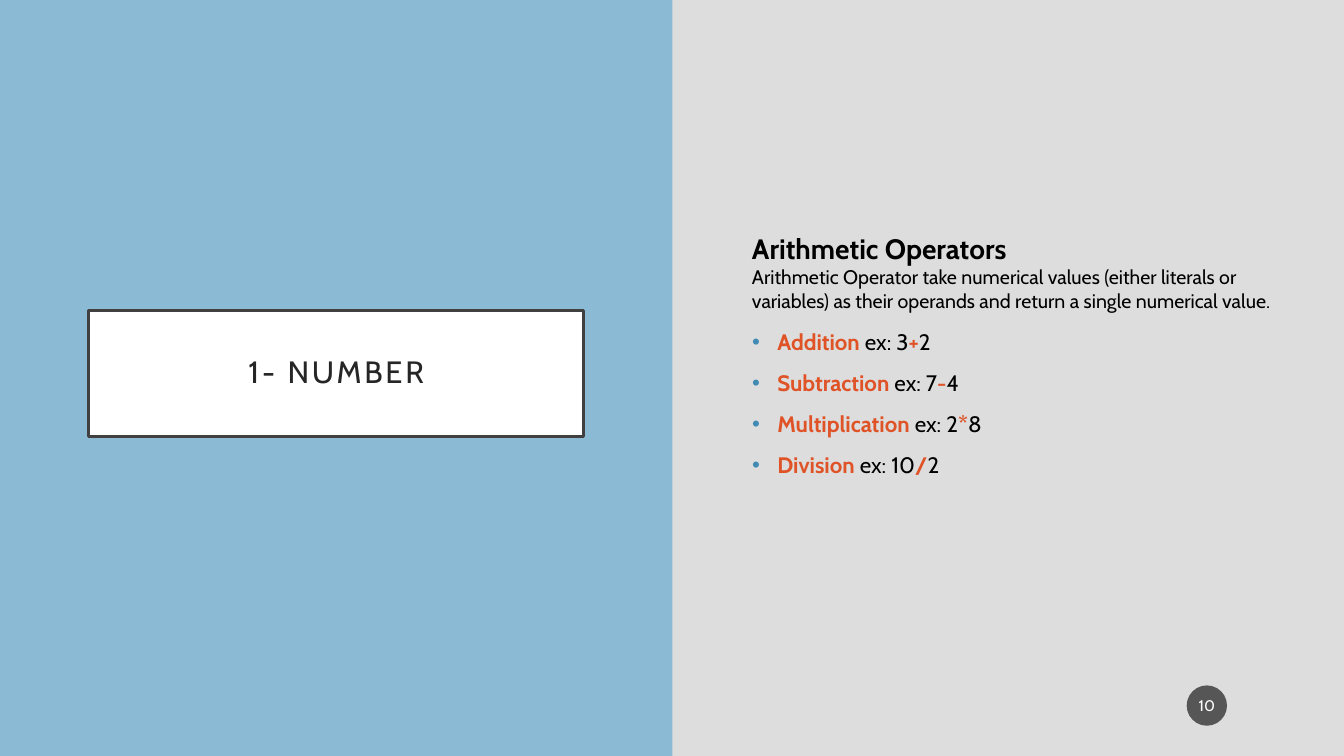
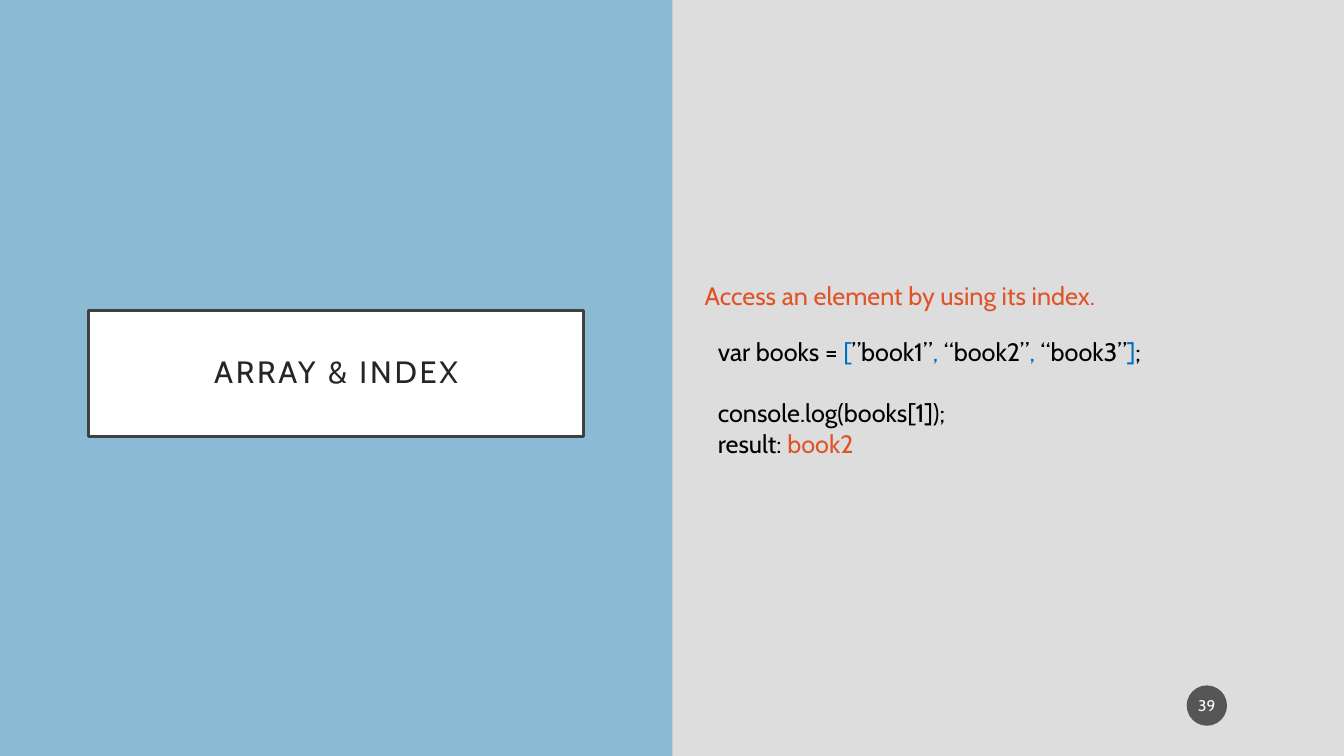
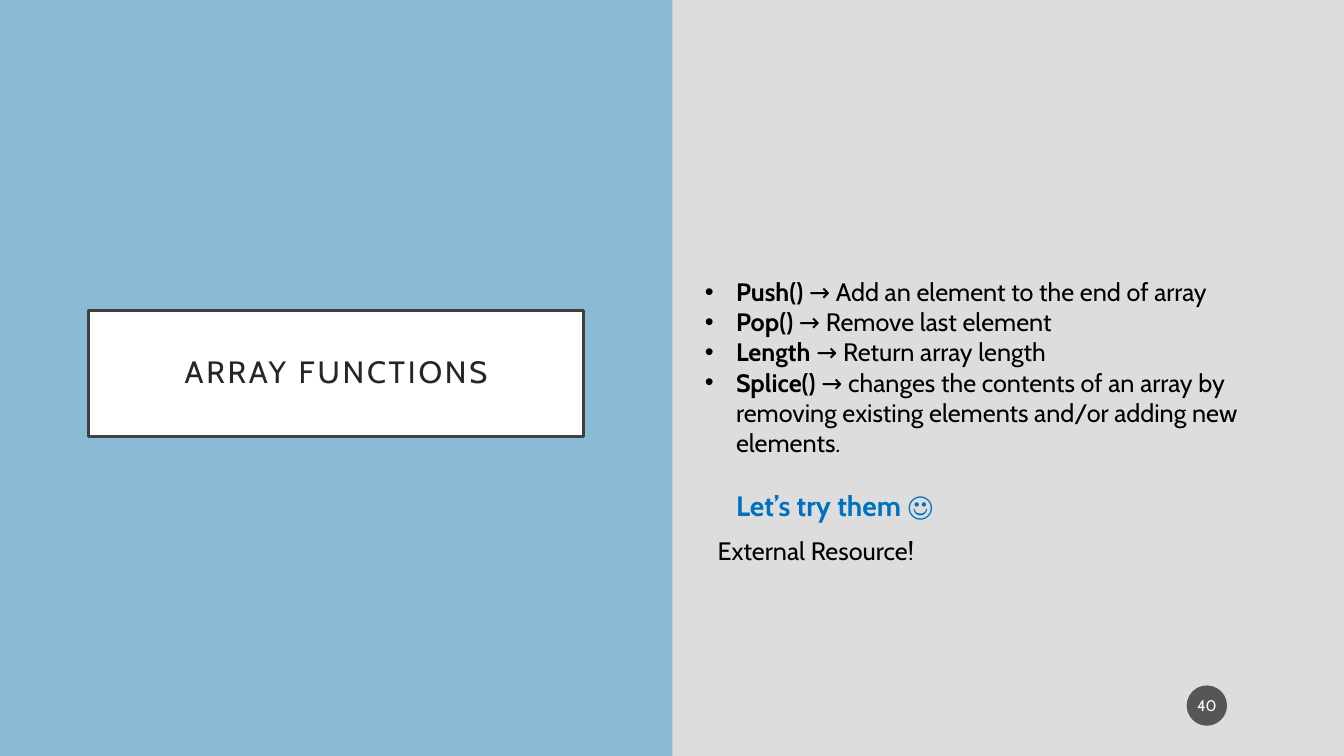
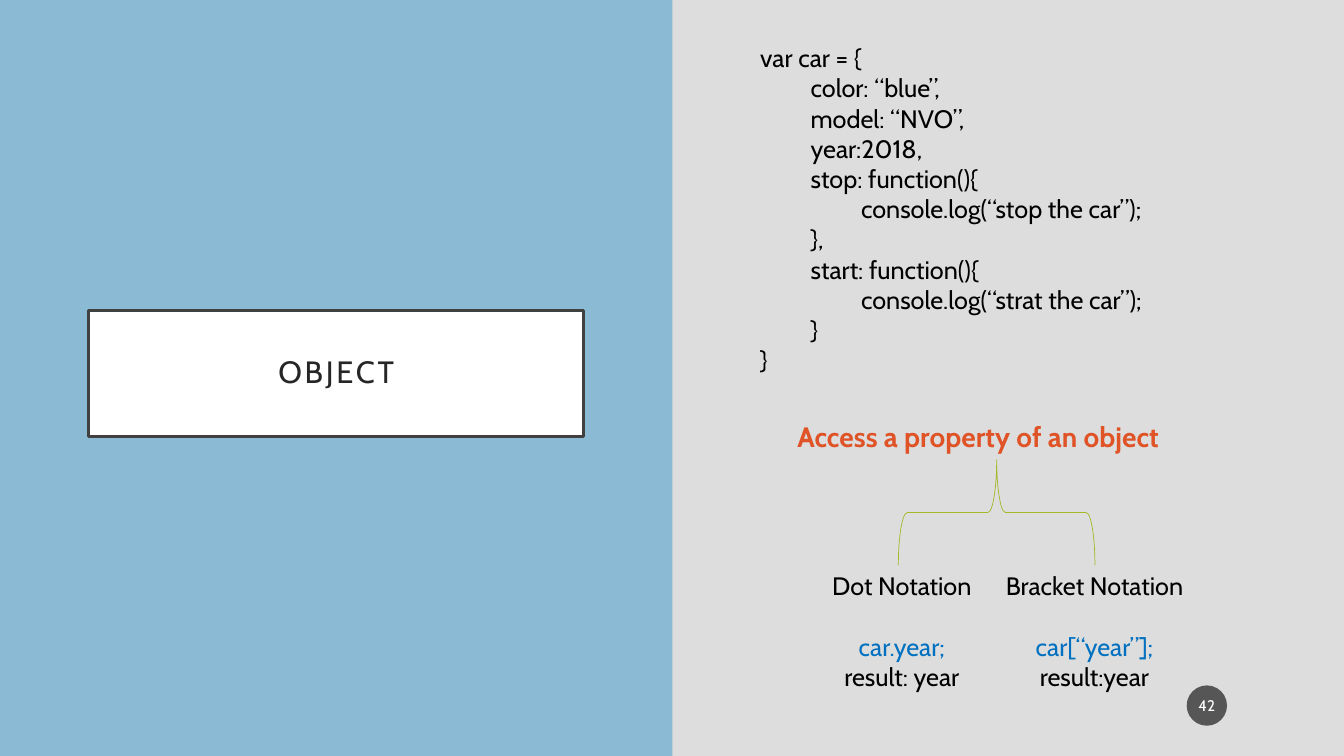
from dataclasses import dataclass

from lxml import etree
from pptx import Presentation
from pptx.dml.color import RGBColor
from pptx.enum import shapes, text
from pptx.oxml import ns
from pptx.util import Emu, Pt

EMU_PER_PX = 9144
FONT = "Cabin"
COLORS = {
    "background": "DDDDDD",
    "band": "8ABAD4",
    "white": "FFFFFF",
    "frame": "404040",
    "title": "262626",
    "badge": "1D1D1D",
    "black": "000000",
    "orange": "DF5327",
    "blue": "0070C0",
    "bullet": "418AB3",
    "brace": "A6B727",
}
LEFT = text.PP_ALIGN.LEFT
CENTER = text.PP_ALIGN.CENTER


@dataclass(frozen=True)
class Box:
    left: int
    top: int
    width: int
    height: int

    def emu(self) -> list[Emu]:
        return [px(self.left), px(self.top), px(self.width), px(self.height)]


@dataclass(frozen=True)
class Run:
    text: str
    color: str = "black"
    bold: bool = False
    size: int = 18


@dataclass(frozen=True)
class Line:
    runs: tuple[Run, ...]
    indent: int = 0
    bullet: str = ""
    before: int = 0
    align: text.PP_ALIGN = LEFT


@dataclass(frozen=True)
class Block:
    box: Box
    lines: tuple[Line, ...]


@dataclass(frozen=True)
class Page:
    number: int
    title: str
    body: Block
    extras: tuple[Block, ...]


SLIDE = Box(0, 0, 1333, 750)
BAND = Box(0, 0, 667, 750)
TITLE = Box(88, 308, 491, 125)
BADGE = Box(1177, 680, 40, 40)
BRACE = Box(936, 411, 105, 195)
BLANK_LINE = 22
TAB = 50


def px(value: int) -> Emu:
    return Emu(value * EMU_PER_PX)


def rgb(name: str) -> RGBColor:
    return RGBColor.from_string(COLORS[name])


def place(shape, box: Box) -> None:
    shape.left, shape.top, shape.width, shape.height = box.emu()


def paint(shape, color: str) -> None:
    shape.fill.solid()
    shape.fill.fore_color.rgb = rgb(color)


def add_run(paragraph, run: Run):
    piece = paragraph.add_run()
    piece.text = run.text
    piece.font.name = FONT
    piece.font.size = Pt(run.size)
    piece.font.bold = run.bold
    piece.font.color.rgb = rgb(run.color)
    return piece


def set_bullet(paragraph, line: Line) -> None:
    properties = paragraph._p.get_or_add_pPr()
    properties.set("marL", str(px(line.indent)))
    properties.set("indent", str(px(-line.indent if line.bullet else 0)))
    if not line.bullet:
        etree.SubElement(properties, ns.qn("a:buNone"))
        return
    color = etree.SubElement(properties, ns.qn("a:buClr"))
    etree.SubElement(color, ns.qn("a:srgbClr"), val=COLORS[line.bullet])
    etree.SubElement(properties, ns.qn("a:buFont"), typeface="Arial")
    etree.SubElement(properties, ns.qn("a:buChar"), char="•")


def fill_block(shape, block: Block) -> None:
    place(shape, block.box)
    frame = shape.text_frame
    frame.word_wrap = True
    frame.auto_size = text.MSO_AUTO_SIZE.NONE
    for index, line in enumerate(block.lines):
        paragraph = frame.add_paragraph() if index else frame.paragraphs[0]
        paragraph.alignment = line.align
        paragraph.space_before = Pt(line.before)
        set_bullet(paragraph, line)
        for run in line.runs:
            add_run(paragraph, run)


def add_shape(slide, kind: shapes.MSO_SHAPE, box: Box):
    shape = slide.shapes.add_shape(kind, *box.emu())
    shape.shadow.inherit = False
    return shape


def style_layout(layout, slide) -> None:
    background = layout.background.fill
    background.solid()
    background.fore_color.rgb = rgb("background")
    band = add_shape(slide, shapes.MSO_SHAPE.RECTANGLE, BAND)
    paint(band, "band")
    band.line.fill.background()
    layout.shapes.element.insert(2, band.element)


def set_title(slide, title: str) -> None:
    shape = slide.shapes.title
    place(shape, TITLE)
    paint(shape, "white")
    shape.line.color.rgb = rgb("frame")
    shape.line.width = Pt(2.5)
    frame = shape.text_frame
    frame.word_wrap = True
    frame.auto_size = text.MSO_AUTO_SIZE.NONE
    frame.vertical_anchor = text.MSO_ANCHOR.MIDDLE
    frame.margin_left = frame.margin_right = px(20)
    frame.margin_top = frame.margin_bottom = px(20)
    paragraph = frame.paragraphs[0]
    paragraph.alignment = CENTER
    paragraph.line_spacing = 0.9
    run = add_run(paragraph, Run(title, "title", size=22))
    run._r.get_or_add_rPr().set("spc", "200")


def add_badge(slide, number: int) -> None:
    badge = add_shape(slide, shapes.MSO_SHAPE.OVAL, BADGE)
    paint(badge, "badge")
    badge.line.fill.background()
    color = badge.element.find(".//" + ns.qn("a:solidFill")).find(ns.qn("a:srgbClr"))
    etree.SubElement(color, ns.qn("a:alpha"), val="70000")
    frame = badge.text_frame
    frame.margin_left = frame.margin_right = px(2)
    frame.vertical_anchor = text.MSO_ANCHOR.MIDDLE
    frame.paragraphs[0].alignment = CENTER
    add_run(frame.paragraphs[0], Run(str(number), "white", size=11))


def add_brace(slide) -> None:
    brace = add_shape(slide, shapes.MSO_SHAPE.LEFT_BRACE, BRACE)
    brace.rotation = 90
    brace.fill.background()
    brace.line.color.rgb = rgb("brace")
    brace.line.width = Pt(0.5)


def operator_line(name: str, left: str, sign: str, right: str) -> Line:
    runs = (
        Run(name, "orange", True, 16),
        Run(f" ex: {left}", size=16),
        Run(sign, "orange", True, 16),
        Run(right, size=16),
    )
    return Line(runs, 25, "bullet", 10)


def function_line(name: str, effect: str) -> Line:
    return Line((Run(f"{name} ", bold=True), Run(f"→ {effect}")), 31, "black")


def code_line(depth: int, code: str) -> Line:
    return Line((Run(code),), depth * TAB)


def notation_block(left: int, name: str, code: str, result: str) -> Block:
    return Block(Box(left, 561, 223, 131), (
        Line((Run(name),), align=CENTER),
        Line((Run(code, "blue"),), before=BLANK_LINE, align=CENTER),
        Line((Run(result),), align=CENTER),
    ))


NUMBER = Page(
    10,
    "1- NUMBER",
    Block(Box(736, 321, 597, 164), (
        operator_line("Addition", "3", "+", "2"),
        operator_line("Subtraction", "7", "-", "4"),
        operator_line("Multiplication", "2", "*", "8"),
        operator_line("Division", "10", "/", "2"),
    )),
    (Block(Box(736, 225, 535, 91), (
        Line((Run("Arithmetic Operators", bold=True, size=20),)),
        Line((Run("Arithmetic Operator take numerical values (either literals or "
                  "variables) as their operands and return a single numerical value.",
                  size=14),)),
    )),),
)

INDEX = Page(
    39,
    "ARRAY & INDEX",
    Block(Box(702, 329, 447, 131), (
        Line((
            Run("var books = "),
            Run("[", "blue"),
            Run("”book1”"),
            Run(",", "blue"),
            Run(" “book2”"),
            Run(", ", "blue"),
            Run("“book3”"),
            Run("]", "blue"),
            Run(";"),
        )),
        Line((Run("console.log(books[1]);"),), before=BLANK_LINE),
        Line((Run("result: "), Run("book2", "orange"))),
    )),
    (Block(Box(689, 273, 610, 40), (
        Line((Run("Access an element by using its index.", "orange"),)),
    )),),
)

FUNCTIONS = Page(
    40,
    "ARRAY FUNCTIONS",
    Block(Box(689, 269, 632, 256), (
        function_line("Push()", "Add an element to the end of array"),
        function_line("Pop()", "Remove last element"),
        function_line("Length", "Return array length"),
        function_line("Splice()", "changes the contents of an array by removing "
                                  "existing elements and/or adding new elements."),
        Line((Run("Let’s try them ☺", "blue", True, 20),), 31, before=BLANK_LINE),
    )),
    (Block(Box(702, 526, 276, 40), (Line((Run("External Resource!"),)),)),),
)

OBJECT = Page(
    42,
    "OBJECT",
    Block(Box(744, 37, 503, 374), (
        code_line(0, "var car = {"),
        code_line(1, "color: “blue”,"),
        code_line(1, "model: “NVO”,"),
        code_line(1, "year:2018,"),
        code_line(1, "stop: function(){"),
        code_line(2, "console.log(“stop the car”);"),
        code_line(1, "},"),
        code_line(1, "start: function(){"),
        code_line(2, "console.log(“strat the car”);"),
        code_line(1, "}"),
        code_line(0, "}"),
    )),
    (
        Block(Box(781, 411, 416, 44), (
            Line((Run("Access a property of an object", "orange", True, 20),)),
        )),
        notation_block(783, "Dot Notation", "car.year;", "result: year"),
        notation_block(974, "Bracket Notation", "car[“year”];", "result:year"),
    ),
)


def add_page(presentation, layout, page: Page):
    slide = presentation.slides.add_slide(layout)
    set_title(slide, page.title)
    fill_block(slide.placeholders[1], page.body)
    add_badge(slide, page.number)
    for block in page.extras:
        fill_block(slide.shapes.add_textbox(*block.box.emu()), block)
    return slide


def main() -> None:
    presentation = Presentation()
    presentation.slide_width = px(SLIDE.width)
    presentation.slide_height = px(SLIDE.height)
    layout = presentation.slide_layouts[1]
    pages = (NUMBER, INDEX, FUNCTIONS, OBJECT)
    slides = [add_page(presentation, layout, page) for page in pages]
    style_layout(layout, slides[0])
    add_brace(slides[-1])
    presentation.save("out.pptx")


if __name__ == "__main__":
    main()
